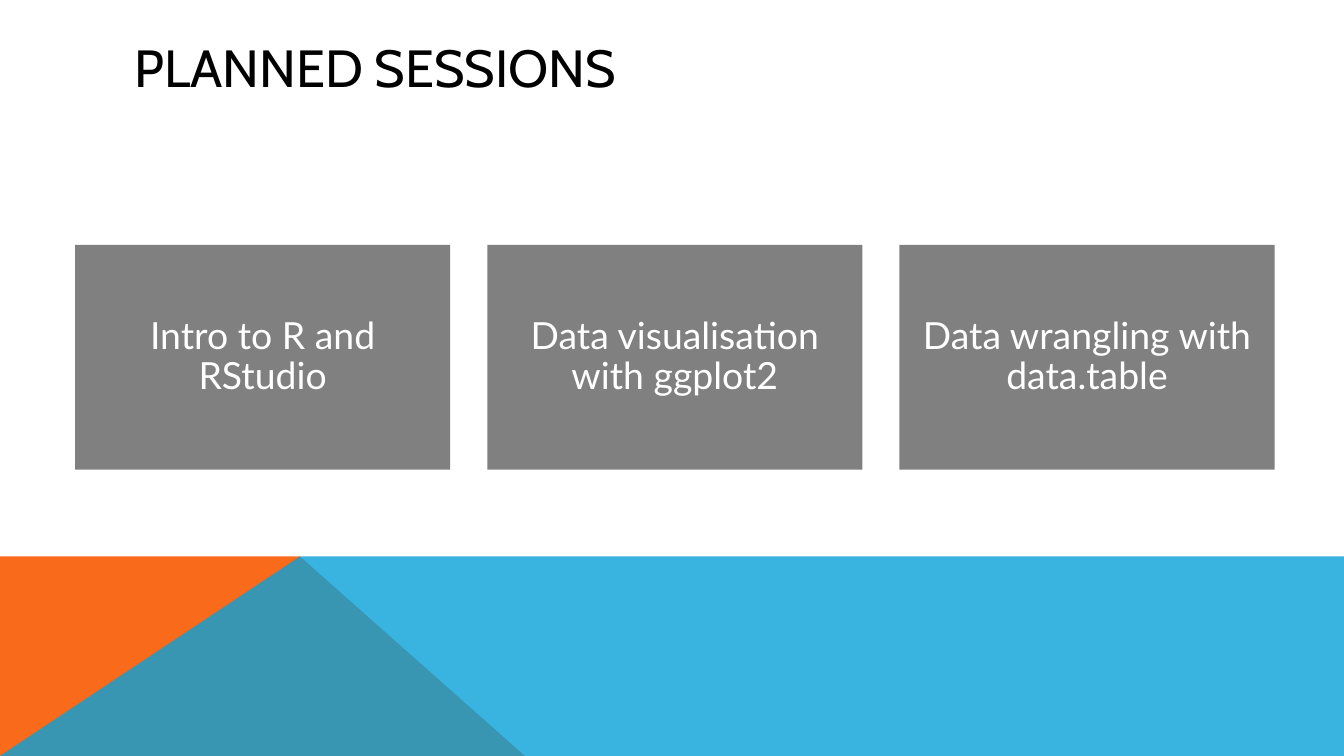
"""Build the planned sessions slide."""
from dataclasses import dataclass

from lxml.etree import SubElement
from pptx import Presentation
from pptx.dml.color import RGBColor
from pptx.enum.shapes import MSO_SHAPE as SHAPE
from pptx.enum.text import MSO_ANCHOR as ANCHOR, PP_ALIGN as ALIGN
from pptx.oxml.ns import qn
from pptx.slide import Slide
from pptx.text.text import TextFrame
from pptx.util import Cm, Pt

ORANGE = RGBColor(0xF9, 0x6A, 0x1B)
BLUE = RGBColor(0x08, 0xA1, 0xD9)
GREY = RGBColor(0x80, 0x80, 0x80)
WHITE = RGBColor(0xFF, 0xFF, 0xFF)
BLACK = RGBColor(0x00, 0x00, 0x00)

SLIDE_W, SLIDE_H = 25.4, 14.29
BAND_TOP, APEX_X, SLOPE_END_X = 10.52, 5.67, 9.92
CARD_LEFT, CARD_TOP, CARD_W, CARD_H, CARD_GAP = 1.42, 4.63, 7.09, 4.25, 0.7
CARD_INSET = 0.2


@dataclass(frozen=True)
class Band:
    points: tuple[tuple[float, float], ...]
    color: RGBColor
    opacity: int = 100


BANDS = (
    Band(((0, SLIDE_H), (0, BAND_TOP), (APEX_X, BAND_TOP),
          (SLOPE_END_X, SLIDE_H)), ORANGE),
    Band(((0, SLIDE_H), (APEX_X, BAND_TOP), (SLIDE_W, BAND_TOP),
          (SLIDE_W, SLIDE_H)), BLUE, 80),
)
SESSIONS = (
    "Intro to R and RStudio",
    "Data visualisation with ggplot2",
    "Data wrangling with data.table",
)


def write(tf: TextFrame, text: str, font: str, size: int, color: RGBColor,
          align: ALIGN) -> None:
    tf.word_wrap = True
    tf.vertical_anchor = ANCHOR.MIDDLE
    tf.text = text
    p = tf.paragraphs[0]
    p.alignment = align
    p.line_spacing = 0.9
    r = p.runs[0]
    r.font.name = font
    r.font.size = Pt(size)
    r.font.color.rgb = color


def draw_band(s: Slide, band: Band) -> None:
    start, *rest = [(Cm(x), Cm(y)) for x, y in band.points]
    builder = s.shapes.build_freeform(*start)
    builder.add_line_segments(rest, close=True)
    sp = builder.convert_to_shape()
    sp.shadow.inherit = False
    sp.fill.solid()
    sp.fill.fore_color.rgb = band.color
    sp.line.fill.background()
    if band.opacity < 100:
        color = sp.fill._xPr.find(qn("a:solidFill")).find(qn("a:srgbClr"))
        SubElement(color, qn("a:alpha")).set("val", str(band.opacity * 1000))


def draw_card(s: Slide, index: int, text: str) -> None:
    left = CARD_LEFT + index * (CARD_W + CARD_GAP)
    sp = s.shapes.add_shape(SHAPE.RECTANGLE, Cm(left), Cm(CARD_TOP),
                            Cm(CARD_W), Cm(CARD_H))
    sp.shadow.inherit = False
    sp.fill.solid()
    sp.fill.fore_color.rgb = GREY
    sp.line.fill.background()
    tf = sp.text_frame
    tf.margin_left = tf.margin_right = Cm(CARD_INSET)
    tf.margin_top = tf.margin_bottom = Cm(CARD_INSET)
    write(tf, text, "Lato", 20, WHITE, ALIGN.CENTER)


def draw_title(s: Slide, text: str) -> None:
    sp = s.shapes.add_textbox(Cm(2.29), Cm(0.76), Cm(20.88), Cm(1.14))
    write(sp.text_frame, text, "Cabin", 28, BLACK, ALIGN.LEFT)


def main() -> None:
    prs = Presentation()
    prs.slide_width, prs.slide_height = Cm(SLIDE_W), Cm(SLIDE_H)
    s = prs.slides.add_slide(prs.slide_layouts[6])
    for band in BANDS:
        draw_band(s, band)
    for index, session in enumerate(SESSIONS):
        draw_card(s, index, session)
    draw_title(s, "PLANNED SESSIONS")
    prs.save("out.pptx")


if __name__ == "__main__":
    main()
